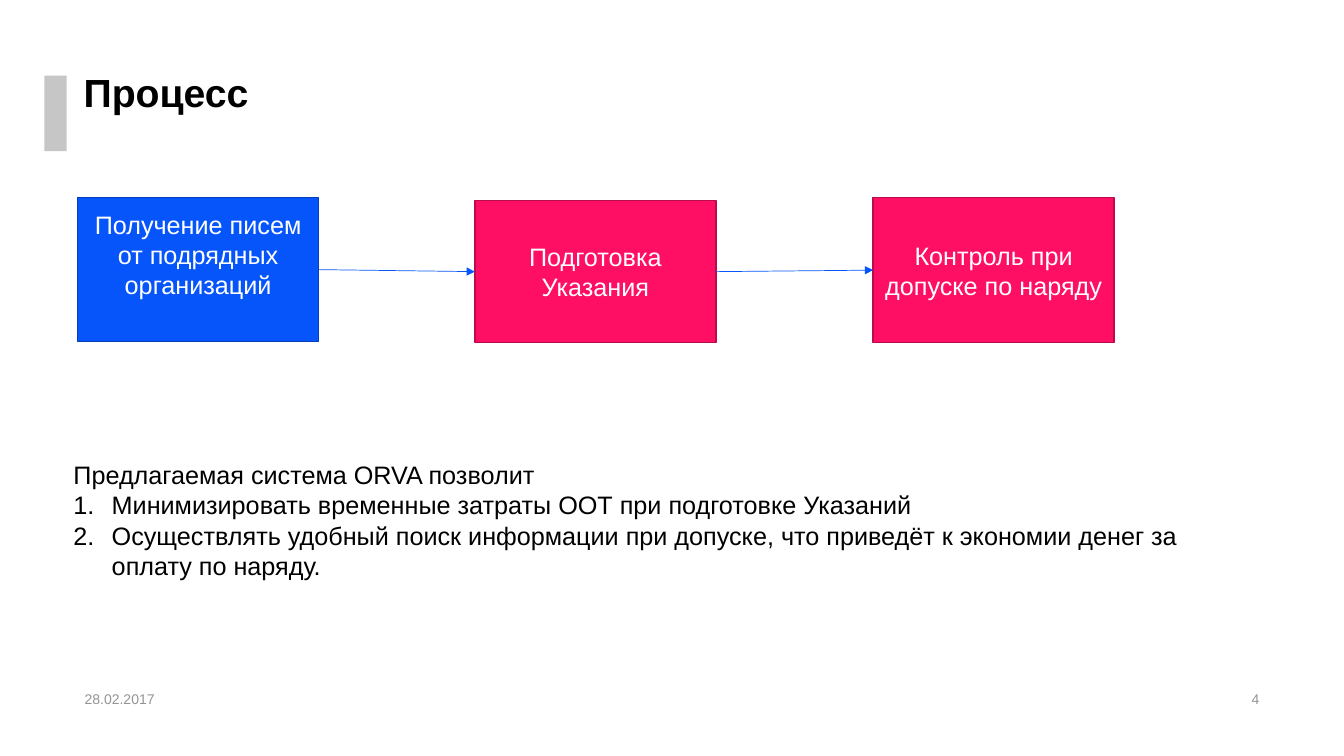
"""Builds the process slide: three linked steps and the gains of the system."""
import pptx
import pptx.util
import pptx.dml.color
import pptx.enum.shapes
import pptx.enum.text
import pptx.oxml
import pptx.oxml.ns
from lxml import etree

Inches = pptx.util.Inches
Pt = pptx.util.Pt
RGBColor = pptx.dml.color.RGBColor
Shape = pptx.enum.shapes.MSO_SHAPE
Align = pptx.enum.text.PP_ALIGN
Anchor = pptx.enum.text.MSO_ANCHOR
qn = pptx.oxml.ns.qn

BLACK = RGBColor(0x00, 0x00, 0x00)
WHITE = RGBColor(0xFF, 0xFF, 0xFF)
SILVER = RGBColor(0xC6, 0xC6, 0xC6)
GRAY = RGBColor(0x94, 0x94, 0x94)
BLUE = RGBColor(0x06, 0x55, 0xFA)
NAVY = RGBColor(0x04, 0x3F, 0xB9)
PINK = RGBColor(0xFE, 0x0F, 0x64)
WINE = RGBColor(0xBC, 0x0B, 0x4A)

deck = pptx.Presentation()
deck.slide_width = Inches(13.33)
deck.slide_height = Inches(7.5)
slide = deck.slides.add_slide(deck.slide_layouts[6])
shapes = slide.shapes


def style(par, size, color, align=Align.LEFT):
    par.alignment = align
    par.font.name = "Arial"
    par.font.size = Pt(size)
    par.font.color.rgb = color


def label(text, left, top, width, height, size, color, align, anchor):
    frame = shapes.add_textbox(Inches(left), Inches(top), Inches(width), Inches(height)).text_frame
    frame.margin_left = frame.margin_right = frame.margin_top = frame.margin_bottom = 0
    frame.word_wrap = True
    frame.vertical_anchor = anchor
    par = frame.paragraphs[0]
    par.text = text
    style(par, size, color, align)
    return par


bar = shapes.add_shape(Shape.RECTANGLE, Inches(0.44), Inches(0.75), Inches(0.22), Inches(0.75))
bar.shadow.inherit = False
bar.fill.solid()
bar.fill.fore_color.rgb = SILVER
bar.line.fill.background()

title = label("Процесс", 0.83, 0.73, 9.16, 0.43, 28, BLACK, Align.LEFT, Anchor.TOP)
title.font.bold = True
title.line_spacing = 0.9
label("28.02.2017", 0.84, 6.85, 1.65, 0.17, 10, GRAY, Align.LEFT, Anchor.MIDDLE)
label("4", 11.66, 6.85, 0.83, 0.17, 10, GRAY, Align.RIGHT, Anchor.MIDDLE)

steps = [
    ("Получение писем от подрядных организаций", 0.77, 1.96, 1.43, BLUE, NAVY, 0.35),
    ("Подготовка Указания", 4.71, 1.99, 1.41, PINK, WINE, 0.05),
    ("Контроль при допуске по наряду", 8.66, 1.96, 1.44, PINK, WINE, 0.05),
]
boxes = []
for text, left, top, height, fill, edge, bottom in steps:
    box = shapes.add_shape(Shape.RECTANGLE, Inches(left), Inches(top), Inches(2.39), Inches(height))
    box.shadow.inherit = False
    box.fill.solid()
    box.fill.fore_color.rgb = fill
    box.line.color.rgb = edge
    box.line.width = Pt(1)
    frame = box.text_frame
    frame.word_wrap = True
    frame.vertical_anchor = Anchor.MIDDLE
    frame.margin_bottom = Inches(bottom)
    frame.text = text
    style(frame.paragraphs[0], 18, WHITE, Align.CENTER)
    boxes.append(box)

for start, end in zip(boxes, boxes[1:]):
    arrow = shapes.add_connector(pptx.enum.shapes.MSO_CONNECTOR.STRAIGHT, 0, 0, 0, 0)
    arrow.begin_connect(start, 3)
    arrow.end_connect(end, 1)
    arrow.line.color.rgb = BLUE
    arrow.line.width = Pt(0.5)
    etree.SubElement(arrow.line._get_or_add_ln(), qn("a:tailEnd"), type="triangle")
    etree.SubElement(arrow._element.spPr, qn("a:effectLst"))

gains = [
    "Предлагаемая система ORVA позволит",
    "Минимизировать временные затраты ООТ при подготовке Указаний",
    "Осуществлять удобный поиск информации при допуске, что приведёт к экономии денег за оплату по наряду.",
]
frame = shapes.add_textbox(Inches(0.63), Inches(4.51), Inches(11.62), Inches(1.92)).text_frame
frame.word_wrap = True
for rank, text in enumerate(gains):
    par = frame.add_paragraph() if rank else frame.paragraphs[0]
    par.text = text
    style(par, 18, BLACK)
    if rank:
        props = par._p.get_or_add_pPr()
        props.set("marL", str(Inches(0.38)))
        props.set("indent", str(-Inches(0.38)))
        mark = etree.Element(qn("a:buAutoNum"), type="arabicPeriod")
        props.insert(0, mark)

deck.save("out.pptx")
